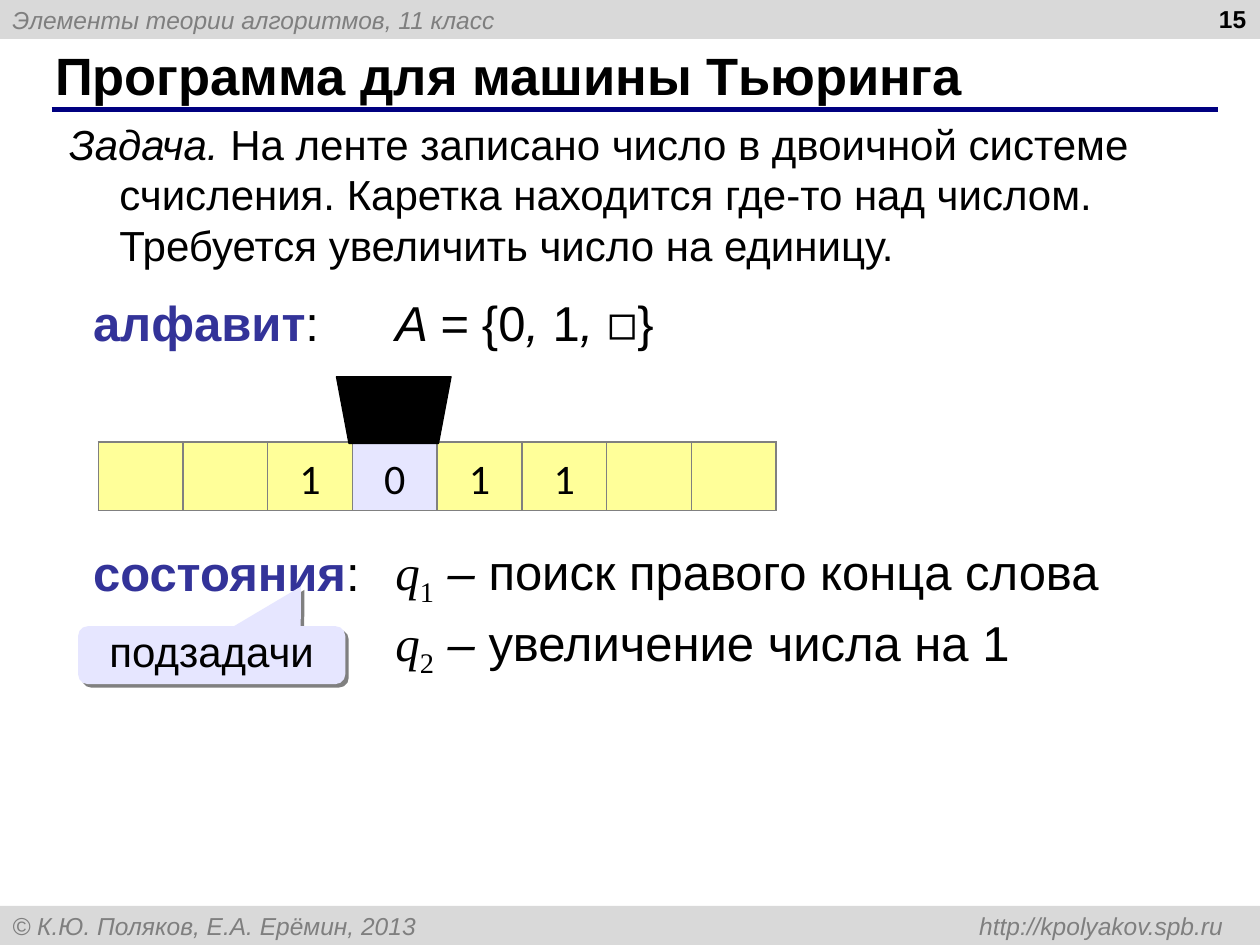
from lxml.etree import SubElement
from pptx import Presentation
from pptx.dml.color import RGBColor
from pptx.enum.shapes import MSO_CONNECTOR, MSO_SHAPE
from pptx.enum.text import MSO_ANCHOR, PP_ALIGN
from pptx.oxml.ns import qn
from pptx.util import Inches, Pt

HUES = {"bar": "D9D9D9", "grey": "7F7F7F", "navy": "000080", "black": "000000",
        "term": "333399", "tape": "FFFF99", "pale": "E6E6FF", "edge": "808080"}
HEAD = "Элементы теории алгоритмов, 11 класс"
FOOT = "© К.Ю. Поляков, Е.А. Ерёмин, 2013 \thttp://kpolyakov.spb.ru"
TITLE = "Программа для машины Тьюринга"
TASK = [("Задача. ", {"italic": True}),
        "На ленте записано число в двоичной системе счисления. "
        "Каретка находится где-то над числом. Требуется увеличить число на единицу."]
TERMS = [("алфавит", 2.27, 2.24), ("состояния", 4.26, 2.45)]
ALPHA = [("A = ", {"italic": True}), "{0", (", ", {"italic": True}), "1",
         (", ", {"italic": True}), "◻}"]
STATES = [("1", "поиск правого конца слова", 4.25),
          ("2", "увеличение числа на 1", 4.81)]
TAPE = ["", "", "1", "0", "1", "1", "", ""]
HERE = 3
HINT = "подзадачи"

deck = Presentation()
deck.slide_width, deck.slide_height = Inches(10), Inches(7.5)
slide = deck.slides.add_slide(deck.slide_layouts[6])
shapes = slide.shapes


def color(name):
    return RGBColor.from_string(HUES[name])


def paint(shape, name):
    shape.fill.solid()
    shape.fill.fore_color.rgb = color(name)


def write(frame, text, size=28, font="Arial", hue="black", bold=False, italic=False,
          align=PP_ALIGN.LEFT, anchor=MSO_ANCHOR.TOP, hang=0, tab=0, line=None, after=None):
    frame.word_wrap = True
    frame.vertical_anchor = anchor
    para = frame.paragraphs[0]
    para.alignment, para.line_spacing, para.space_after = align, line, after
    props = para._p.get_or_add_pPr()
    if hang:
        props.set("marL", str(Inches(hang)))
        props.set("indent", str(-Inches(hang)))
    if tab:
        SubElement(SubElement(props, qn("a:tabLst")), qn("a:tab"),
                   pos=str(Inches(tab)), algn="r")
    for part in [text] if isinstance(text, str) else text:
        words, own = (part, {}) if isinstance(part, str) else part
        run = para.add_run()
        run.text = words
        run.font.size = Pt(size)
        run.font.name = own.get("font", font)
        run.font.bold = own.get("bold", bold)
        run.font.italic = own.get("italic", italic)
        run.font.color.rgb = color(own.get("hue", hue))
        if "base" in own:
            run._r.get_or_add_rPr().set("baseline", str(own["base"] * 1000))


def block(kind, box, hue):
    shape = shapes.add_shape(kind, *map(Inches, box))
    shape.shadow.inherit = False
    paint(shape, hue)
    shape.line.fill.background()
    return shape


def label(box, text, **form):
    write(shapes.add_textbox(*map(Inches, box)).text_frame, text, **form)


for top, text, tab in [(0, HEAD, 0), (7.19, FOOT, 9.61)]:
    bar = block(MSO_SHAPE.RECTANGLE, (0, top, 10, 0.31), "bar")
    write(bar.text_frame, text, size=14, hue="grey", italic=True,
          anchor=MSO_ANCHOR.MIDDLE, tab=tab)

rule = shapes.add_connector(MSO_CONNECTOR.STRAIGHT, Inches(0.41), Inches(0.87),
                            Inches(9.67), Inches(0.87))
rule.line.color.rgb = color("navy")
rule.line.width = Pt(3)
SubElement(rule._element.spPr, qn("a:effectLst"))

label((0.34, 0.33, 9.16, 0.52), TITLE, size=30, bold=True, anchor=MSO_ANCHOR.MIDDLE)
label((7.66, -0.02, 2.33, 0.52), "15", size=14, bold=True, align=PP_ALIGN.RIGHT)
label((0.45, 0.89, 9.23, 1.31), TASK, size=24, hang=0.4)
for term, top, width in TERMS:
    label((0.64, top, width, 0.57), [(term, {"bold": True, "hue": "term"}), ":"])
label((3.04, 2.27, 2.53, 0.57), ALPHA)

serif = "Times New Roman"
for num, goal, top in STATES:
    label((3.04, top, 6.49, 0.57),
          [("q", {"font": serif, "italic": True}), (num, {"font": serif, "base": -25}),
           (" – ", {"italic": True}), goal])

hint = block(MSO_SHAPE.ROUNDED_RECTANGULAR_CALLOUT, (0.62, 4.97, 2.12, 0.46), "pale")
for spot, value in enumerate((0.334, -1.186, 0.167)):
    hint.adjustments[spot] = value
glow = SubElement(hint._element.spPr.find(qn("a:effectLst")), qn("a:outerShdw"),
                  dist=str(Pt(2.8)), dir="2700000", algn="ctr", rotWithShape="0")
SubElement(glow, qn("a:srgbClr"), val=HUES["edge"])
write(hint.text_frame, HINT, size=24, align=PP_ALIGN.CENTER, line=0.8, after=Pt(10))

frame = shapes.add_table(1, len(TAPE), Inches(0.78), Inches(3.51), Inches(5.38), Inches(0.54))
table = frame.table
table.first_row = table.horz_banding = False
for spot, sign in enumerate(TAPE):
    cell = table.cell(0, spot)
    cell.margin_left = cell.margin_right = Inches(0.07)
    cell.margin_top = cell.margin_bottom = 0
    cell.vertical_anchor = MSO_ANCHOR.MIDDLE
    if sign:
        write(cell.text_frame, sign, size=24, font="Calibri", align=PP_ALIGN.CENTER,
              anchor=MSO_ANCHOR.MIDDLE, line=1.15)
        cell.text_frame.word_wrap = None
        cell.vertical_anchor = MSO_ANCHOR.MIDDLE
    props = cell._tc.get_or_add_tcPr()
    for side in ("lnL", "lnR", "lnT", "lnB"):
        edge = SubElement(props, qn("a:" + side), w=str(Pt(1)))
        SubElement(SubElement(edge, qn("a:solidFill")), qn("a:srgbClr"), val=HUES["edge"])
    paint(cell, "pale" if spot == HERE else "tape")

pen = shapes.build_freeform(Inches(2.67), Inches(2.99))
pen.add_line_segments([(Inches(x), Inches(y)) for x, y in
                       [(2.77, 3.52), (3.48, 3.52), (3.58, 2.99)]], close=True)
head = pen.convert_to_shape()
head.shadow.inherit = False
paint(head, "black")
head.line.color.rgb = color("black")
head.line.width = Pt(0.75)

deck.save("out.pptx")
